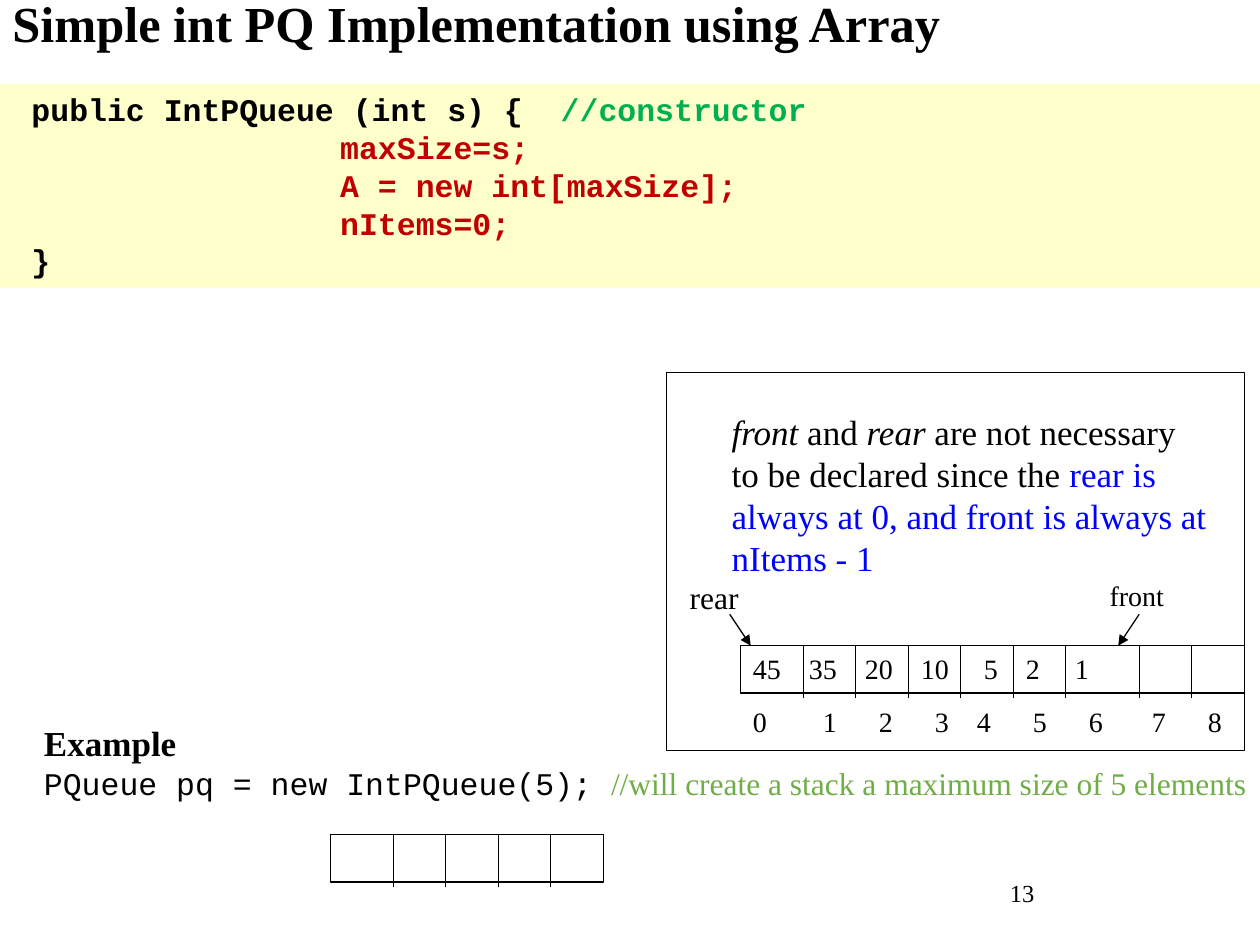
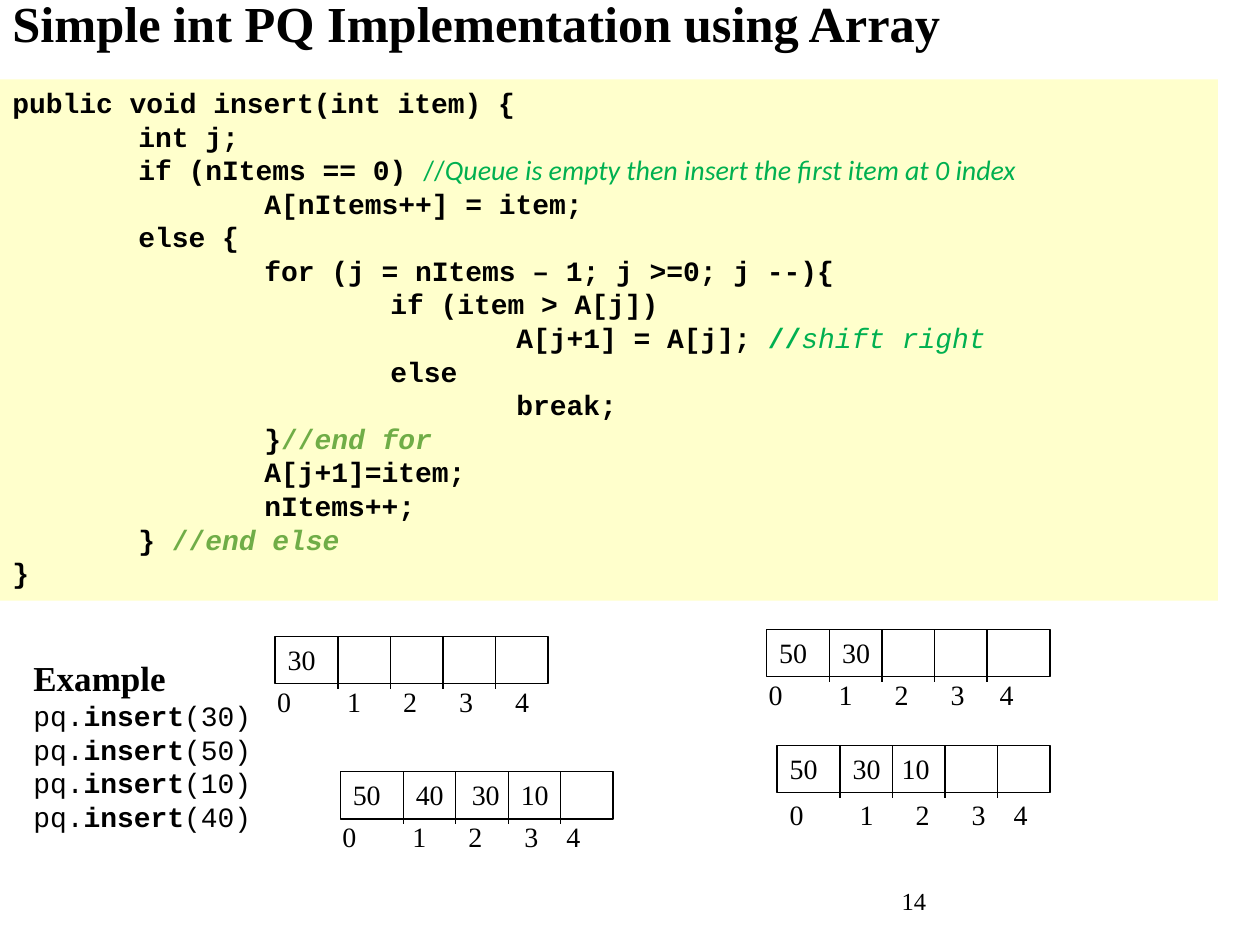
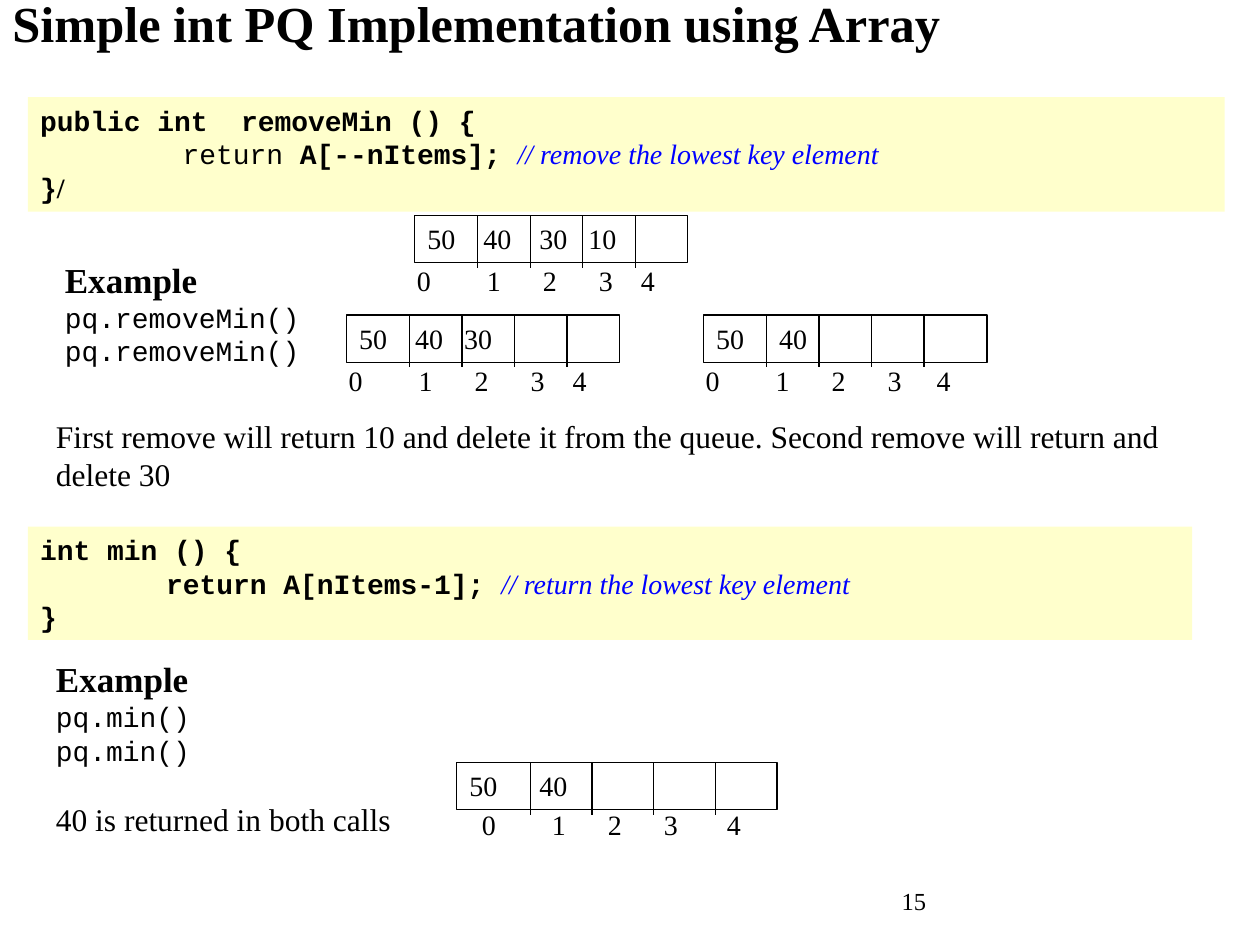
from dataclasses import dataclass
from itertools import accumulate

from lxml import etree
from pptx import Presentation
from pptx.dml.color import RGBColor
from pptx.enum.shapes import MSO_CONNECTOR, MSO_SHAPE
from pptx.enum.text import MSO_ANCHOR, PP_ALIGN
from pptx.oxml.ns import qn
from pptx.util import Inches, Pt

RECTANGLE = MSO_SHAPE.RECTANGLE
STRAIGHT = MSO_CONNECTOR.STRAIGHT
TOP = MSO_ANCHOR.TOP
MIDDLE = MSO_ANCHOR.MIDDLE
LEFT = PP_ALIGN.LEFT

SLIDE_WIDTH = Inches(10)
SLIDE_HEIGHT = Inches(7.5)
COLUMNS = 240
UNIT = SLIDE_WIDTH // COLUMNS
INDENT = 24
INSET = 2.4
SPACE = 4 / 3


@dataclass(frozen=True)
class Theme:
    black: str = "000000"
    code_fill: str = "FFFFCC"
    comment: str = "00B050"
    soft_comment: str = "70AD47"
    body_red: str = "C00000"
    blue: str = "0000FF"
    serif: str = "Times New Roman"
    mono: str = "Courier New"
    sans: str = "Calibri"
    title: float = 28.8
    heading: int = 20
    body: int = 18
    small: int = 16
    footer: int = 14
    rule: float = 0.75


THEME = Theme()
TITLE = "Simple int PQ Implementation using Array"
CODE = dict(font=THEME.mono, bold=True, fill=THEME.code_fill)
CELLS = (12, 10, 10, 10, 10)
WIDE_CELLS = (12, 10, 10, 10, 12)


@dataclass(frozen=True)
class Box:
    left: float
    top: float
    width: float
    height: float

    def inner(self, left, top, width, height):
        return Box(self.left + left, self.top + top, width, height)

    def emu(self):
        return [grid(v) for v in (self.left, self.top, self.width, self.height)]


@dataclass(frozen=True)
class Line:
    runs: tuple
    level: float = 0
    before: float = 0


def grid(value):
    return round(value * UNIT)


def styled(text, **text_format):
    return text, text_format


def line(*runs, **layout):
    return Line(tuple(styled(r) if isinstance(r, str) else r for r in runs), **layout)


def add_run(paragraph, text, font=THEME.serif, size=THEME.small,
            color=THEME.black, bold=False, italic=False):
    run = paragraph.add_run()
    run.text = text
    run.font.name = font
    run.font.size = Pt(size)
    run.font.bold = bold
    run.font.italic = italic
    run.font.color.rgb = RGBColor.from_string(color)


def set_layout(paragraph, layout, spacing):
    paragraph.alignment = LEFT
    paragraph.line_spacing = spacing
    paragraph.space_before = Pt(layout.before)
    properties = paragraph._p.get_or_add_pPr()
    properties.set("marL", str(grid(layout.level * INDENT)))
    properties.set("indent", "0")


def add_rectangle(slide, box, fill=None, outline=None):
    shape = slide.shapes.add_shape(RECTANGLE, *box.emu())
    shape.shadow.inherit = False
    if fill:
        shape.fill.solid()
        shape.fill.fore_color.rgb = RGBColor.from_string(fill)
    else:
        shape.fill.background()
    if outline:
        shape.line.color.rgb = RGBColor.from_string(outline)
        shape.line.width = Pt(THEME.rule)
    else:
        shape.line.fill.background()
    return shape


def add_text(slide, box, *lines, fill=None, anchor=TOP, inset=INSET,
             spacing=1.0, **text_format):
    if fill:
        shape = add_rectangle(slide, box, fill=fill)
    else:
        shape = slide.shapes.add_textbox(*box.emu())
    frame = shape.text_frame
    frame.word_wrap = True
    frame.vertical_anchor = anchor
    frame.margin_left = frame.margin_right = grid(inset)
    for number, content in enumerate(lines):
        layout = line(content) if isinstance(content, str) else content
        paragraph = frame.add_paragraph() if number else frame.paragraphs[0]
        set_layout(paragraph, layout, spacing)
        for text, run_format in layout.runs:
            add_run(paragraph, text, **{**text_format, **run_format})


def add_line(slide, start, end, arrow=False):
    connector = slide.shapes.add_connector(
        STRAIGHT, *(grid(value) for value in (*start, *end)))
    connector.line.color.rgb = RGBColor.from_string(THEME.black)
    connector.line.width = Pt(THEME.rule)
    if arrow:
        etree.SubElement(connector.line._get_or_add_ln(), qn("a:tailEnd"), type="triangle")
    etree.SubElement(connector._element.spPr, qn("a:effectLst"))


def add_row(slide, box, items, positions):
    for item, position in zip(items, (0, *positions)):
        add_text(slide, box.inner(INSET + position * SPACE, 0, 7, box.height),
                 str(item), inset=0)


def draw_array(slide, left, top, cells=CELLS, values=(), value_positions=(),
               last_index=32, index_positions=None, index_shift=(-2, 8)):
    box = Box(left, top, sum(cells), 9)
    add_rectangle(slide, box, outline=THEME.black)
    for edge in list(accumulate(cells))[:-1]:
        add_line(slide, (left + edge, top), (left + edge, top + 10))
    if values:
        add_row(slide, box, values, value_positions)
        add_row(slide, box.inner(*index_shift, box.width, box.height),
                range(len(cells)), index_positions or (10, 18, 26, last_index))


def add_example(slide, box, *lines, size=THEME.small):
    heading = line(styled("Example", size=THEME.heading, font=THEME.serif, bold=True))
    add_text(slide, box, heading, *lines, font=THEME.mono, size=size)


def new_slide(presentation, number, footer=Box(169.4, 166.8, 54, 9.6)):
    slide = presentation.slides.add_slide(presentation.slide_layouts[6])
    add_text(slide, Box(0, 0, COLUMNS, 10), TITLE, size=THEME.title,
             bold=True, anchor=MIDDLE, spacing=0.9)
    add_text(slide, footer, str(number), size=THEME.footer, anchor=MIDDLE)
    return slide


def draw_front_rear(slide, box):
    add_text(slide, box.inner(10, 6, 96, 34),
             line(styled("front", italic=True), " and ", styled("rear", italic=True),
                  " are not necessary to be declared since the ",
                  styled("rear is always at 0, and front is always at nItems - 1",
                         color=THEME.blue)),
             size=THEME.heading)
    draw_array(slide, box.left + 14, box.top + 52,
               cells=(12, 10, 10, 10, 10, 10, 14, 10, 10),
               values=(45, 35, 20, 10, 5, 2, 1),
               value_positions=(8, 16, 24, 33, 39, 46),
               index_positions=(10, 18, 26, 32, 40, 48, 57, 65), index_shift=(0, 10))
    pointers = (("rear", THEME.body, 2, 12, 16), ("front", THEME.small, 82, 90, 86))
    for label, size, left, start, end in pointers:
        add_text(slide, box.inner(left, 38, 18, 9), label, size=size)
        add_line(slide, (box.left + start, box.top + 46),
                 (box.left + end, box.top + 52), arrow=True)
    add_rectangle(slide, box, outline=THEME.black)


def constructor_slide(presentation):
    slide = new_slide(presentation, 13, Box(190, 164, 50, 12))
    body = ("maxSize=s;", "A = new int[maxSize];", "nItems=0;")
    add_text(slide, Box(0, 16, COLUMNS, 38.8),
             line("public IntPQueue (int s) {  ",
                  styled("//constructor", color=THEME.comment)),
             *(line(styled(text, color=THEME.body_red), level=2.45) for text in body),
             "}", size=THEME.body, inset=6, **CODE)
    draw_front_rear(slide, Box(127, 71, 110, 72))
    draw_array(slide, 62.9, 159)
    add_example(slide, Box(6, 136.3, 236, 18),
                line("PQueue pq = new IntPQueue(5); ",
                     styled("//will create a stack a maximum size of 5 elements",
                            font=THEME.serif, color=THEME.soft_comment)),
                size=THEME.body)


def insert_slide(presentation):
    slide = new_slide(presentation, 14)
    plain = dict(color=THEME.comment, bold=False)
    soft = dict(color=THEME.soft_comment)
    add_text(slide, Box(0, 15.1, 232, 99.3),
             "public void insert(int item) {",
             line("int j;", level=1),
             line("if (nItems == 0) ", styled("//", font=THEME.sans, **plain),
                  styled("Queue is empty then insert the first item at 0 index",
                         font=THEME.sans, italic=True, **plain), level=1),
             line("A[nItems++] = item;", level=2),
             line("else {", level=1),
             line("for (j = nItems – 1; j >=0; j --){", level=2),
             line("if (item > A[j])", level=3),
             line("A[j+1] = A[j]; ", styled("//", color=THEME.comment),
                  styled("shift right", italic=True, **plain), level=4),
             line("else", level=3),
             line("break;", level=4),
             line("}", styled("//", **soft), styled("end for", italic=True, **soft), level=2),
             line("A[j+1]=item;", level=2),
             line("nItems++;", level=2),
             line("} ", styled("//", **soft), styled("end else", italic=True, **soft), level=1),
             "}", **CODE)
    add_example(slide, Box(4, 123.9, 50.4, 36),
                *(line("pq.", styled("insert", bold=True), f"({value})")
                  for value in (30, 50, 10, 40)))
    draw_array(slide, 52.4, 121.2, values=(30,), last_index=34)
    draw_array(slide, 146, 119.9, WIDE_CELLS, (50, 30), (9,), last_index=33)
    draw_array(slide, 148, 142, CELLS, (50, 30, 10), (9, 16), index_shift=(0, 8.8))
    draw_array(slide, 64.8, 147, CELLS, (50, 40, 30, 10), (9, 17, 24))


def remove_slide(presentation):
    slide = new_slide(presentation, 15)
    remark = dict(font=THEME.serif, color=THEME.blue, bold=False, italic=True)
    add_text(slide, Box(5.3, 18.5, 228, 21.8),
             "public int  removeMin () {",
             line(styled("return ", bold=False), "A[--nItems]; ",
                  styled("// remove the lowest key element", **remark), level=1.13),
             line("}", styled("/", font=THEME.serif)), **CODE)
    add_example(slide, Box(10, 48, 52, 23.5), "pq.removeMin()", "pq.removeMin()")
    draw_array(slide, 79, 41, CELLS, (50, 40, 30, 10), (8, 16, 23))
    draw_array(slide, 66, 60, CELLS, (50, 40, 30), (8, 15))
    draw_array(slide, 134, 60, WIDE_CELLS, (50, 40), (9,), last_index=33)
    add_text(slide, Box(8.3, 78.2, 218, 17),
             "First remove will return 10 and delete it from the queue. "
             "Second remove will return and delete 30", size=THEME.body)
    add_text(slide, Box(5.3, 100.3, 221.8, 21.6), "int min () {",
             line("return A[nItems-1]; ",
                  styled("// return the lowest key element", **remark), level=1),
             "}", **CODE)
    add_example(slide, Box(8.3, 124.1, 94, 37), "pq.min()", "pq.min()",
                line(styled("40 is returned in both calls", font=THEME.serif,
                            size=THEME.body), before=19))
    draw_array(slide, 87, 145.2, (14, 11.75, 11.75, 11.75, 11.75), (50, 40), (10,),
               last_index=35, index_shift=(2.4, 7.4))


def main():
    presentation = Presentation()
    presentation.slide_width = SLIDE_WIDTH
    presentation.slide_height = SLIDE_HEIGHT
    for build in (constructor_slide, insert_slide, remove_slide):
        build(presentation)
    presentation.save("out.pptx")


if __name__ == "__main__":
    main()
